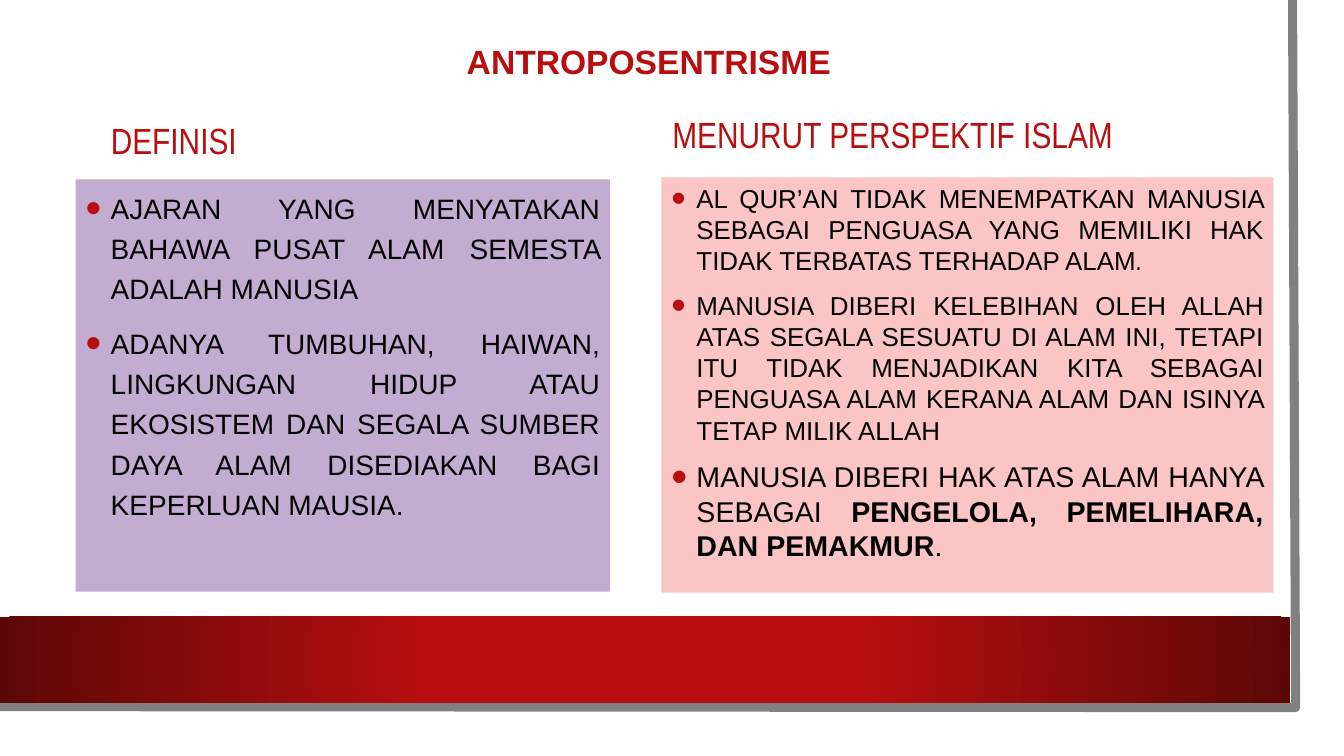
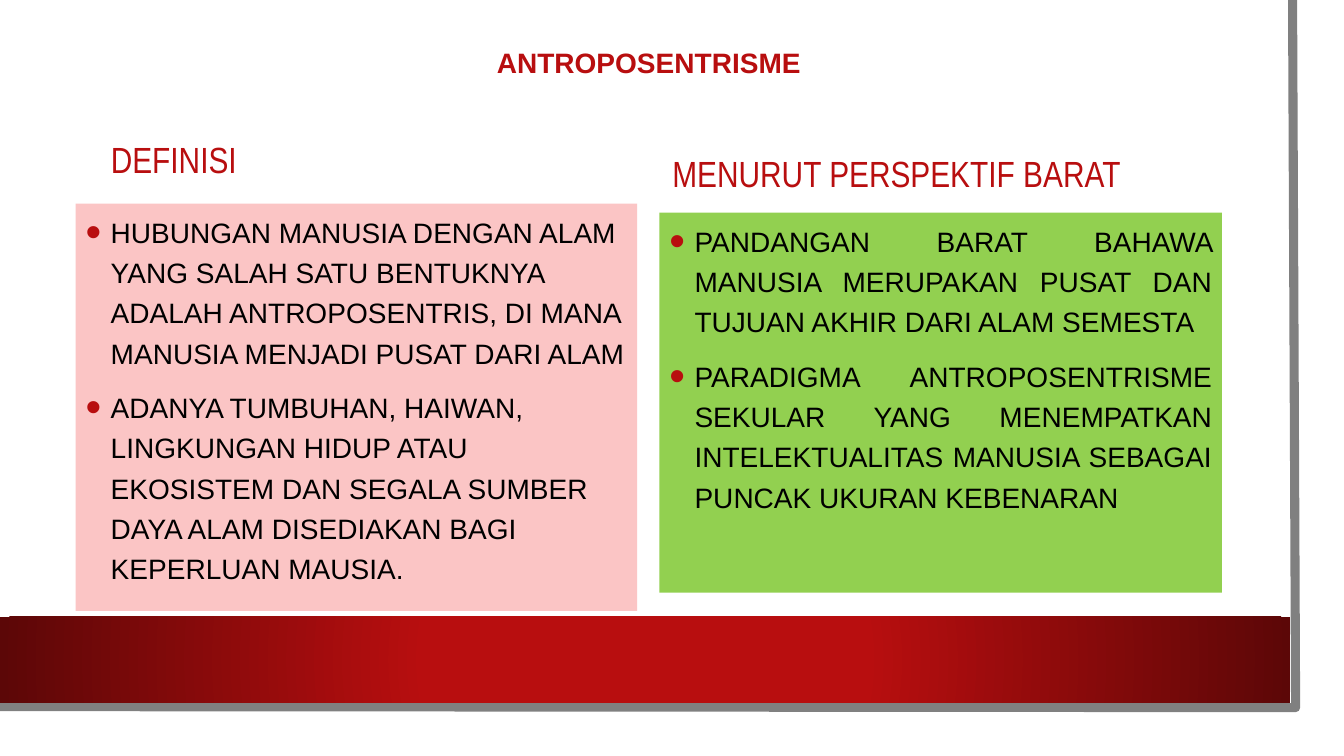
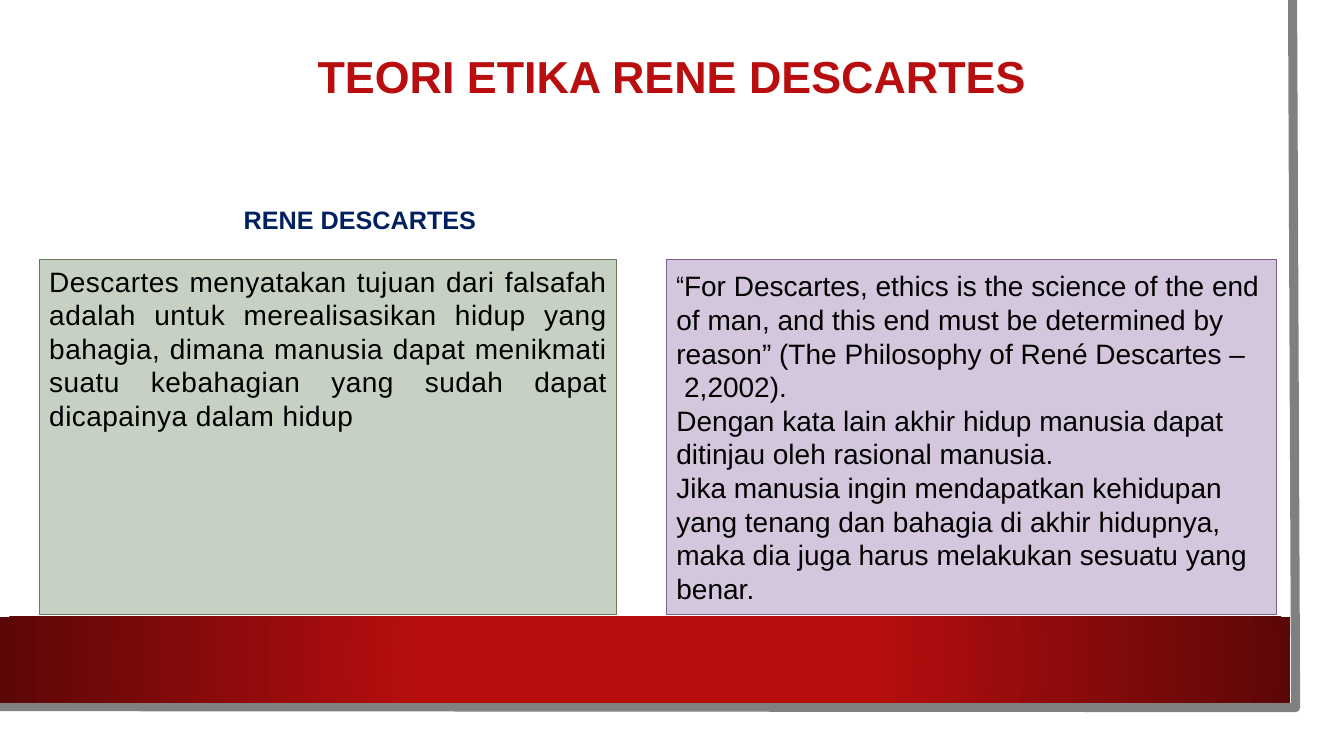
from lxml import etree
from pptx import Presentation
from pptx.dml.color import RGBColor
from pptx.enum.shapes import MSO_SHAPE
from pptx.enum.text import MSO_ANCHOR, MSO_AUTO_SIZE, PP_ALIGN
from pptx.oxml import parse_xml
from pptx.oxml.ns import nsdecls, qn
from pptx.util import Inches, Pt

RED, DARK_RED, GREY, NAVY = "B80E0F", "5C0707", "808080", "002060"
BLACK, WHITE = "000000", "FFFFFF"
PURPLE, PINK, GREEN = "C3ACD1", "FBC5C5", "92D050"

TITLE = dict(size=24, bold=True, color=RED, align=PP_ALIGN.CENTER, line_spacing=0.9)
HEADING = dict(size=26, name="Arial Narrow", color=RED, line_spacing=0.9, space_before=10)
BULLETS = dict(size=20, line_spacing=1.2, space_before=10, bullet=True)
JUSTIFIED = dict(BULLETS, align=PP_ALIGN.JUSTIFY)


def rgb(hex_color):
    return RGBColor.from_string(hex_color)


def write(frame, paragraphs, look, anchor=MSO_ANCHOR.TOP):
    """Fill a text frame; a paragraph is a string or a list of (text, run format)."""
    frame.word_wrap = True
    frame.auto_size = MSO_AUTO_SIZE.NONE
    frame.vertical_anchor = anchor
    for number, content in enumerate(paragraphs):
        paragraph = frame.add_paragraph() if number else frame.paragraphs[0]
        paragraph.alignment = look.get("align", PP_ALIGN.LEFT)
        paragraph.line_spacing = look.get("line_spacing", 1.0)
        paragraph.space_before = Pt(look.get("space_before", 0))
        if look.get("bullet"):
            properties = paragraph._p.get_or_add_pPr()
            properties.set("marL", str(Inches(0.25)))
            properties.set("indent", str(-Inches(0.25)))
            bullet_color = etree.SubElement(properties, qn("a:buClr"))
            etree.SubElement(bullet_color, qn("a:srgbClr"), val=RED)
            etree.SubElement(properties, qn("a:buSzPct"), val="160000")
            etree.SubElement(properties, qn("a:buFont"), typeface="Arial")
            etree.SubElement(properties, qn("a:buChar"), char="•")
        for text, changes in [(content, {})] if isinstance(content, str) else content:
            run = paragraph.add_run()
            run.text = text
            run_look = {**look, **changes}
            font_values = {
                "name": run_look.get("name", "Arial"),
                "size": Pt(run_look["size"]),
                "bold": run_look.get("bold", False),
            }
            for attribute, value in font_values.items():
                setattr(run.font, attribute, value)
            run.font.color.rgb = rgb(run_look.get("color", BLACK))
            if "tracking" in run_look:
                run.font._element.set("spc", str(run_look["tracking"]))


# Each panel: box, fill, outline, anchor, text format, paragraphs
slides = [
    dict(
        title="ANTROPOSENTRISME", title_box=(0.75, 0.4, 11.37, 0.77),
        title_look=TITLE, title_anchor=MSO_ANCHOR.TOP,
        headings=[
            ("DEFINISI", (1, 1.06, 5.32, 0.6), HEADING),
            ("MENURUT PERSPEKTIF ISLAM", (6.57, 1.08, 5.55, 0.52), HEADING),
        ],
        panels=[
            ((0.75, 1.78, 5.3, 4.09), PURPLE, None, MSO_ANCHOR.TOP, JUSTIFIED, [
                "AJARAN YANG MENYATAKAN BAHAWA PUSAT ALAM SEMESTA ADALAH MANUSIA",
                "ADANYA TUMBUHAN, HAIWAN, LINGKUNGAN HIDUP ATAU EKOSISTEM DAN SEGALA "
                "SUMBER DAYA ALAM DISEDIAKAN BAGI KEPERLUAN MAUSIA.",
            ]),
            ((6.56, 1.76, 6.07, 4.12), PINK, None, MSO_ANCHOR.TOP,
             dict(JUSTIFIED, size=18.5, line_spacing=1.0), [
                [("AL QUR’AN TIDAK MENEMPATKAN MANUSIA SEBAGAI PENGUASA YANG MEMILIKI "
                  "HAK TIDAK TERBATAS TERHADAP ALAM", {}), (".", dict(name="Arial Narrow"))],
                "MANUSIA DIBERI KELEBIHAN OLEH ALLAH ATAS SEGALA SESUATU DI ALAM INI, "
                "TETAPI ITU TIDAK MENJADIKAN KITA SEBAGAI PENGUASA ALAM KERANA ALAM DAN "
                "ISINYA TETAP MILIK ALLAH",
                [("MANUSIA DIBERI HAK ATAS ALAM HANYA SEBAGAI ", dict(size=20.4)),
                 ("PENGELOLA, PEMELIHARA, DAN PEMAKMUR", dict(size=20.4, bold=True)),
                 (".", dict(size=20.4))],
            ]),
        ],
    ),
    dict(
        title="ANTROPOSENTRISME", title_box=(0.75, 0.44, 11.37, 0.76),
        title_look=dict(TITLE, size=20), title_anchor=MSO_ANCHOR.TOP,
        headings=[
            ("DEFINISI", (1, 1.3, 5.32, 0.55), HEADING),
            ("MENURUT PERSPEKTIF BARAT", (6.57, 1.3, 5.55, 0.69), HEADING),
        ],
        panels=[
            ((0.75, 2.02, 5.57, 4.04), PINK, None, MSO_ANCHOR.TOP, BULLETS, [
                "HUBUNGAN MANUSIA DENGAN ALAM YANG SALAH SATU BENTUKNYA ADALAH "
                "ANTROPOSENTRIS, DI MANA MANUSIA MENJADI PUSAT DARI ALAM",
                "ADANYA TUMBUHAN, HAIWAN, LINGKUNGAN HIDUP ATAU EKOSISTEM DAN SEGALA "
                "SUMBER DAYA ALAM DISEDIAKAN BAGI KEPERLUAN MAUSIA.",
            ]),
            ((6.54, 2.11, 5.58, 3.77), GREEN, None, MSO_ANCHOR.TOP, JUSTIFIED, [
                "PANDANGAN BARAT BAHAWA MANUSIA MERUPAKAN PUSAT DAN TUJUAN AKHIR DARI "
                "ALAM SEMESTA",
                "PARADIGMA ANTROPOSENTRISME SEKULAR YANG MENEMPATKAN INTELEKTUALITAS "
                "MANUSIA SEBAGAI PUNCAK UKURAN KEBENARAN",
            ]),
        ],
    ),
    dict(
        title="TEORI ETIKA RENE DESCARTES", title_box=(2.28, 0.15, 8.77, 1.27),
        title_look=dict(TITLE, size=32), title_anchor=MSO_ANCHOR.MIDDLE,
        headings=[
            ("RENE DESCARTES", (2.18, 1.61, 2.78, 0.77),
             dict(TITLE, size=18, color=NAVY, space_before=10)),
        ],
        panels=[
            ((0.39, 2.57, 5.73, 3.53), "C7D1C3", "667B5A", MSO_ANCHOR.TOP,
             dict(size=20, align=PP_ALIGN.JUSTIFY, space_before=6, tracking=30), [
                "Descartes menyatakan tujuan dari falsafah adalah untuk merealisasikan "
                "hidup yang bahagia, dimana manusia dapat menikmati suatu kebahagian "
                "yang sudah dapat dicapainya dalam hidup",
            ]),
            ((6.61, 2.57, 6.05, 3.53), "D4C7DD", "7C5E8F", MSO_ANCHOR.MIDDLE, dict(size=20), [
                [("“", dict(name="Arial Narrow")),
                 ("For Descartes, ethics is the science of the end of man, and this end "
                  "must be determined by reason” (The Philosophy of René Descartes –", {})],
                " 2,2002).",
                "Dengan kata lain akhir hidup manusia dapat ditinjau oleh rasional manusia.",
                "Jika manusia ingin mendapatkan kehidupan yang tenang dan bahagia di akhir "
                "hidupnya, maka dia juga harus melakukan sesuatu yang benar.",
            ]),
        ],
    ),
]

prs = Presentation()
prs.slide_width, prs.slide_height = Inches(13.33), Inches(7.5)
title_only = prs.slide_layouts[5]

for number, content in enumerate(slides):
    slide = prs.slides.add_slide(title_only)
    shapes = slide.shapes

    # The page, its grey edge and the red band are drawn once and moved to the master
    if number == 0:
        page = shapes.add_shape(MSO_SHAPE.RECTANGLE, 0, 0, Inches(13.1), Inches(7.27))
        page.fill.solid()
        page.fill.fore_color.rgb = rgb(WHITE)
        outline = shapes.build_freeform(Inches(12.82), 0)
        outline.add_line_segments(
            [(Inches(12.85), Inches(7.02)), (Inches(-0.03), Inches(7.01))], close=False)
        edge = outline.convert_to_shape()
        edge.fill.background()
        band = shapes.add_shape(
            MSO_SHAPE.RECTANGLE, 0, Inches(6.12), Inches(12.8), Inches(0.85))
        band.element.spPr.find(qn("a:prstGeom")).addnext(parse_xml(
            f'<a:gradFill {nsdecls("a")} rotWithShape="1"><a:gsLst>'
            f'<a:gs pos="34000"><a:srgbClr val="{RED}"/></a:gs>'
            f'<a:gs pos="100000"><a:srgbClr val="{DARK_RED}"/></a:gs></a:gsLst>'
            '<a:path path="circle">'
            '<a:fillToRect l="50000" t="50000" r="50000" b="50000"/></a:path></a:gradFill>'))
        for position, part in enumerate([page, edge, band], start=2):
            part.shadow.inherit = False
            part.line.fill.background()
            if part is edge:
                part.line.color.rgb = rgb(GREY)
                part.line.width = Pt(6.5)
            prs.slide_master.shapes.element.insert(position, part.element)

    title = shapes.title
    title.left, title.top, title.width, title.height = map(Inches, content["title_box"])
    write(title.text_frame, [content["title"]], content["title_look"], content["title_anchor"])

    for text, box, look in content["headings"]:
        heading = shapes.add_textbox(*map(Inches, box))
        write(heading.text_frame, [text], look, MSO_ANCHOR.BOTTOM)

    for box, fill, line, anchor, look, paragraphs in content["panels"]:
        panel = shapes.add_shape(MSO_SHAPE.RECTANGLE, *map(Inches, box))
        panel.shadow.inherit = False
        panel.fill.solid()
        panel.fill.fore_color.rgb = rgb(fill)
        if line:
            panel.line.color.rgb = rgb(line)
            panel.line.width = Pt(0.75)
        else:
            panel.line.fill.background()
        write(panel.text_frame, paragraphs, look, anchor)

prs.save("out.pptx")
